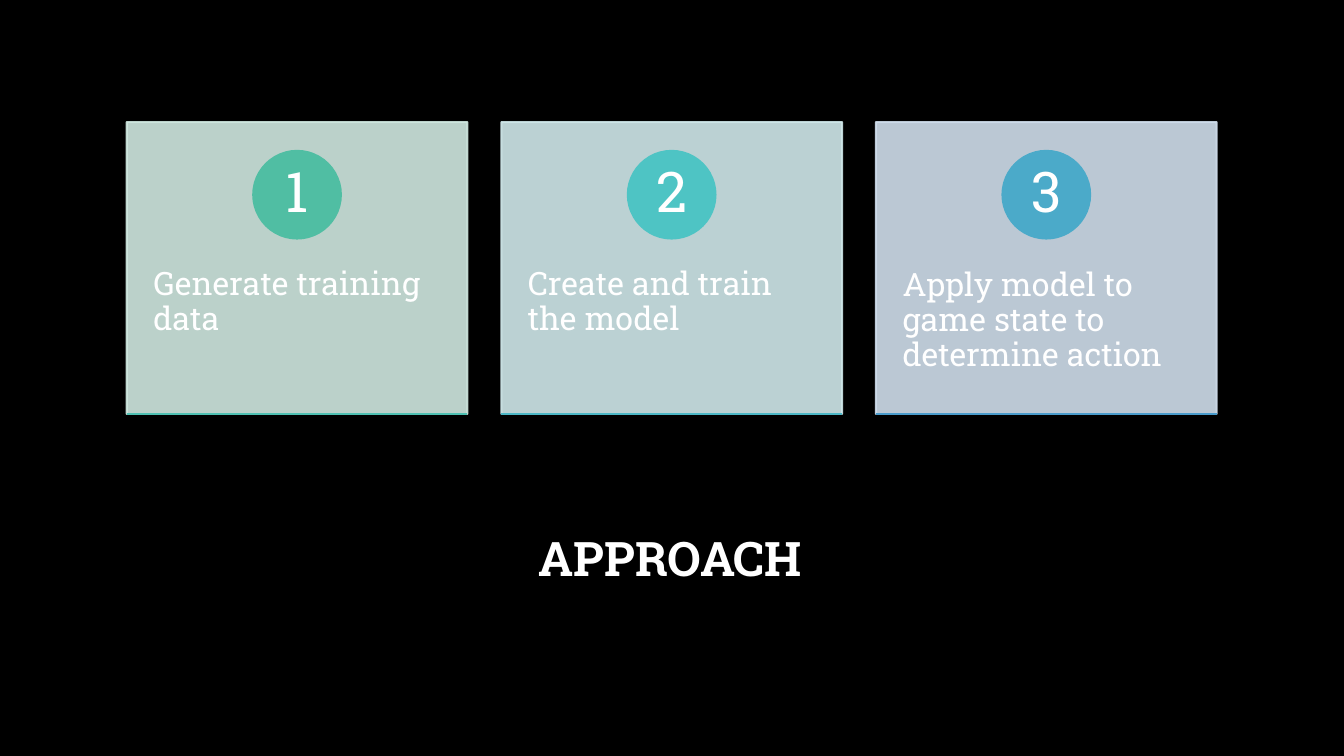
from lxml import etree
from pptx import Presentation
from pptx.dml.color import RGBColor
from pptx.enum.shapes import MSO_CONNECTOR as Connector, MSO_SHAPE as Shape
from pptx.enum.text import MSO_ANCHOR as Anchor, PP_ALIGN as Align
from pptx.oxml.ns import qn
from pptx.util import Pt


def color(hex_string):
    return RGBColor.from_string(hex_string)


def write(box, text, size, align, anchor, margin_x, margin_y, bold=False):
    frame = box.text_frame
    frame.text = text
    frame.word_wrap = True
    frame.vertical_anchor = anchor
    frame.margin_left = frame.margin_right = Pt(margin_x)
    frame.margin_top = frame.margin_bottom = Pt(margin_y)
    para = frame.paragraphs[0]
    para.alignment = align
    para.line_spacing = 0.9
    font = para.runs[0].font
    font.name = "Roboto Slab"
    font.size = Pt(size)
    font.bold = bold
    font.color.rgb = color("FFFFFF")


deck = Presentation()
deck.slide_width, deck.slide_height = Pt(960), Pt(540)
page = deck.slides.add_slide(deck.slide_layouts[5])
page.background.fill.solid()
page.background.fill.fore_color.rgb = color("000000")

# Title
title = page.shapes.title
title.left, title.top, title.width, title.height = Pt(51.8), Pt(357), Pt(854), Pt(88)
write(title, "APPROACH", 34, Align.CENTER, Anchor.MIDDLE, 7.2, 3.6, bold=True)

# Step cards: text, card color, badge color, bottom rule color
steps = [
    ("Generate training data", "D0E8E0", "50BEA3", "4FC1B3"),
    ("Create and train the model", "D0E8EA", "4EC4C4", "4CB7C6"),
    ("Apply model to game state to determine action", "D0DEEC", "4BAAC9", "4A9CCC"),
]
first_left, pitch = 90.5, 267.6
card_top, card_width, card_height = 87.2, 243.4, 208.5
badge_top, badge_size, number_size = 107.8, 62.6, 44.8
card_bottom = card_top + card_height

for number, (text, card_color, badge_color, rule_color) in enumerate(steps, 1):
    left = first_left + (number - 1) * pitch
    center = left + card_width / 2

    # Card and round badge
    card = page.shapes.add_shape(
        Shape.RECTANGLE, Pt(left), Pt(card_top), Pt(card_width), Pt(card_height))
    badge = page.shapes.add_shape(
        Shape.OVAL, Pt(center - badge_size / 2), Pt(badge_top), Pt(badge_size), Pt(badge_size))
    for shape, shade in ((card, card_color), (badge, badge_color)):
        shape.shadow.inherit = False
        shape.fill.solid()
        shape.fill.fore_color.rgb = color(shade)
        shape.line.color.rgb = color(shade)
        shape.line.width = Pt(1.5)

    # Card fill and outline are 90% opaque
    for shade in card.element.spPr.iter(qn("a:srgbClr")):
        etree.SubElement(shade, qn("a:alpha")).set("val", "90000")

    # Step description
    description = page.shapes.add_textbox(
        Pt(left), Pt(166.2), Pt(card_width), Pt(125.3))
    write(description, text, 23, Align.LEFT, Anchor.TOP, 19, 26)

    # Step number
    number_box = page.shapes.add_textbox(
        Pt(center - number_size / 2), Pt(116.7), Pt(number_size), Pt(number_size))
    write(number_box, str(number), 40, Align.CENTER, Anchor.MIDDLE, 5, 0.7)

    # Bottom rule
    rule = page.shapes.add_connector(
        Connector.STRAIGHT, Pt(left), Pt(card_bottom), Pt(left + card_width), Pt(card_bottom))
    rule.line.color.rgb = color(rule_color)
    rule.line.width = Pt(1.5)
    etree.SubElement(rule.element.spPr, qn("a:effectLst"))

deck.save("out.pptx")
